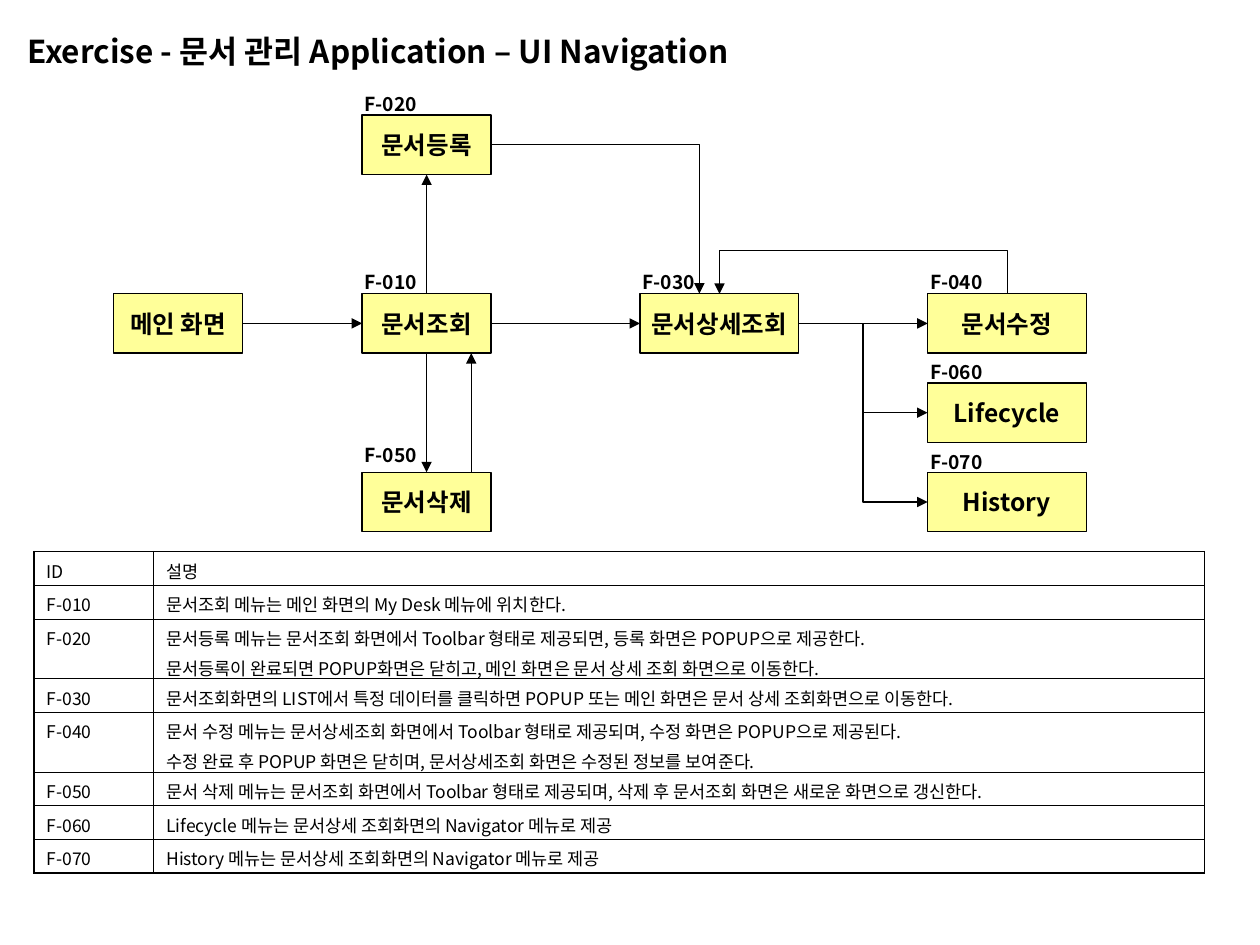
from lxml import etree
from pptx import Presentation
from pptx import util as u
from pptx.dml import color
from pptx.enum import shapes, text
from pptx.oxml import ns

ROW_TOP, ROW_STEP, BOX_H = 2.32, 1.8, 1.2
NARROW, WIDE = 2.6, 3.2
MAIN_X, LIST_X, DETAIL_X, EDIT_X = 2.29, 7.3, 12.9, 18.7
BACK_X = 9.5  # lane of the return arrow from delete to list

# name, id, left, row, width, distance from id label to box top
SCREENS = [
    ("메인 화면", None, MAIN_X, 2, NARROW, 0),
    ("문서조회", "F-010", LIST_X, 2, NARROW, 0.59),
    ("문서삭제", "F-050", LIST_X, 4, NARROW, 0.71),
    ("문서상세조회", "F-030", DETAIL_X, 2, WIDE, 0.59),
    ("문서수정", "F-040", EDIT_X, 2, WIDE, 0.59),
    ("Lifecycle", "F-060", EDIT_X, 3, WIDE, 0.59),
    ("History", "F-070", EDIT_X, 4, WIDE, 0.56),
    ("문서등록", "F-020", LIST_X, 0, NARROW, 0.59),
]

DESCRIPTIONS = [
    ("ID", "설명"),
    ("F-010", "문서조회 메뉴는 메인 화면의 My Desk 메뉴에 위치한다."),
    ("F-020", "문서등록 메뉴는 문서조회 화면에서 Toolbar 형태로 제공되면, 등록 화면은 POPUP으로 제공한다.\n"
              "문서등록이 완료되면 POPUP화면은 닫히고, 메인 화면은 문서 상세 조회 화면으로 이동한다."),
    ("F-030", "문서조회화면의 LIST에서 특정 데이터를 클릭하면 POPUP 또는 메인 화면은 문서 상세 조회화면으로 이동한다."),
    ("F-040", "문서 수정 메뉴는 문서상세조회 화면에서 Toolbar 형태로 제공되며, 수정 화면은 POPUP으로 제공된다.\n"
              "수정 완료 후 POPUP 화면은 닫히며, 문서상세조회 화면은 수정된 정보를 보여준다."),
    ("F-050", "문서 삭제 메뉴는 문서조회 화면에서 Toolbar 형태로 제공되며, 삭제 후 문서조회 화면은 새로운 화면으로 갱신한다."),
    ("F-060", "Lifecycle 메뉴는 문서상세 조회화면의 Navigator 메뉴로 제공"),
    ("F-070", "History 메뉴는 문서상세 조회화면의 Navigator 메뉴로 제공"),
]


def rgb(value):
    return color.RGBColor.from_string(value)


def add_xml(parent, tag, **attrs):
    return etree.SubElement(parent, ns.qn(tag), attrs)


def row_top(row):
    return ROW_TOP + row * ROW_STEP


def row_mid(row):
    return row_top(row) + BOX_H / 2


class Deck:
    font = "Noto Sans CJK KR"
    ink = "000000"
    box_fill = "FFFF99"
    line_width = 0.75

    def __init__(self, slide):
        self.s = slide

    def put_text(self, tf, words, size, bold=False, before=0, align=None):
        tf.text = words
        for p in tf.paragraphs:
            p.alignment = align
            p.space_before = u.Pt(before)
            for r in p.runs:
                r.font.size = u.Pt(size)
                r.font.bold = bold
                r.font.color.rgb = rgb(self.ink)
                r.font.name = self.font
                add_xml(r.font._element, "a:ea", typeface=self.font)

    def label(self, words, x, y, w, h, size, before):
        tf = self.s.shapes.add_textbox(u.Cm(x), u.Cm(y), u.Cm(w), u.Cm(h)).text_frame
        tf.word_wrap = True
        tf.auto_size = text.MSO_AUTO_SIZE.SHAPE_TO_FIT_TEXT
        self.put_text(tf, words, size, True, before)

    def box(self, words, x, y, w):
        sp = self.s.shapes.add_shape(shapes.MSO_SHAPE.RECTANGLE,
                                     u.Cm(x), u.Cm(y), u.Cm(w), u.Cm(BOX_H))
        sp.shadow.inherit = False
        sp.fill.solid()
        sp.fill.fore_color.rgb = rgb(self.box_fill)
        sp.line.color.rgb = rgb(self.ink)
        sp.line.width = u.Pt(self.line_width)
        sp.text_frame.word_wrap = False
        sp.text_frame.vertical_anchor = text.MSO_ANCHOR.MIDDLE
        self.put_text(sp.text_frame, words, 14, True, align=text.PP_ALIGN.CENTER)

    def arrow(self, x1, y1, x2, y2, kind=shapes.MSO_CONNECTOR.STRAIGHT):
        c = self.s.shapes.add_connector(kind, u.Cm(x1), u.Cm(y1), u.Cm(x2), u.Cm(y2))
        c.line.color.rgb = rgb(self.ink)
        c.line.width = u.Pt(self.line_width)
        add_xml(c.line._get_or_add_ln(), "a:tailEnd", type="triangle")
        add_xml(c._element.spPr, "a:effectLst")
        return c

    def elbow(self, x1, y1, x2, y2):
        return self.arrow(x1, y1, x2, y2, shapes.MSO_CONNECTOR.ELBOW)

    def corner(self, x1, y1, x2, y2):
        """Arrow with a single bend: across, then down."""
        c = self.elbow(x1, y1, x2, y2)
        c._element.spPr.find(ns.qn("a:prstGeom")).set("prst", "bentConnector2")

    def loop(self, x1, x2, y, rise):
        """Arrow that leaves upwards at x1 and comes down at x2, further left."""
        depth, mid, half = 0.01, (x1 + x2) / 2, (x1 - x2) / 2
        c = self.elbow(mid, y - half, mid + depth, y + half)
        spPr = c._element.spPr
        spPr.find(ns.qn("a:xfrm")).set("rot", "5400000")
        geom = spPr.find(ns.qn("a:prstGeom"))
        guides = geom.find(ns.qn("a:avLst"))
        if guides is None:
            guides = add_xml(geom, "a:avLst")
        add_xml(guides, "a:gd", name="adj1", fmla=f"val {round(-rise / depth * 100000)}")

    def border(self, cell, side, width):
        ln = add_xml(cell._tc.get_or_add_tcPr(), f"a:ln{side}", w=str(u.Pt(width)))
        add_xml(add_xml(ln, "a:solidFill"), "a:srgbClr", val=self.ink)

    def table(self, rows, x, y, widths, line_heights):
        heights = [line_heights[words.count("\n")] for _, words in rows]
        tbl = self.s.shapes.add_table(len(rows), len(widths), u.Cm(x), u.Cm(y),
                                      u.Cm(sum(widths)), u.Cm(sum(heights))).table
        tbl.first_row = tbl.horz_banding = False
        for col, w in zip(tbl.columns, widths):
            col.width = u.Cm(w)
        last_row, last_col = len(rows) - 1, len(widths) - 1
        for i, (row, h) in enumerate(zip(rows, heights)):
            tbl.rows[i].height = u.Cm(h)
            for j, words in enumerate(row):
                cell = tbl.cell(i, j)
                self.put_text(cell.text_frame, words, 10, before=2.5)
                outer = {"L": j == 0, "R": j == last_col, "T": i == 0, "B": i == last_row}
                for side, is_outer in outer.items():
                    self.border(cell, side, 1.08 if is_outer else 0.45)
                cell.fill.background()


def main():
    prs = Presentation()
    prs.slide_width, prs.slide_height = u.Cm(25.4), u.Cm(19.05)
    deck = Deck(prs.slides.add_slide(prs.slide_layouts[6]))

    deck.label("Exercise - 문서 관리 Application – UI Navigation", 0.3, 0.53, 19.2, 1.02, 18, 11.2)

    mid, top, bottom = row_mid(2), row_top(2), row_top(2) + BOX_H
    list_mid, detail_right = LIST_X + NARROW / 2, DETAIL_X + WIDE
    deck.arrow(MAIN_X + NARROW, mid, LIST_X, mid)
    deck.arrow(list_mid, top, list_mid, row_top(0) + BOX_H)
    deck.arrow(list_mid, bottom, list_mid, row_top(4))
    deck.arrow(BACK_X, row_top(4), BACK_X, bottom)
    deck.arrow(LIST_X + NARROW, mid, DETAIL_X, mid)
    deck.arrow(detail_right, mid, EDIT_X, mid)
    for row in (3, 4):
        deck.elbow(detail_right, mid, EDIT_X, row_mid(row))
    deck.loop(EDIT_X + WIDE / 2, DETAIL_X + WIDE / 2, top, 0.86)
    deck.corner(BACK_X, row_mid(0), 14.1, top)

    for name, code, x, row, w, gap in SCREENS:
        deck.box(name, x, row_top(row), w)
        if code:
            deck.label(code, x - 0.2, row_top(row) - gap, 1.8, 0.74, 11, 6.9)

    deck.table(DESCRIPTIONS, 0.69, 11.12, (2.41, 21.18), (0.68, 1.2))
    prs.save("out.pptx")


if __name__ == "__main__":
    main()
